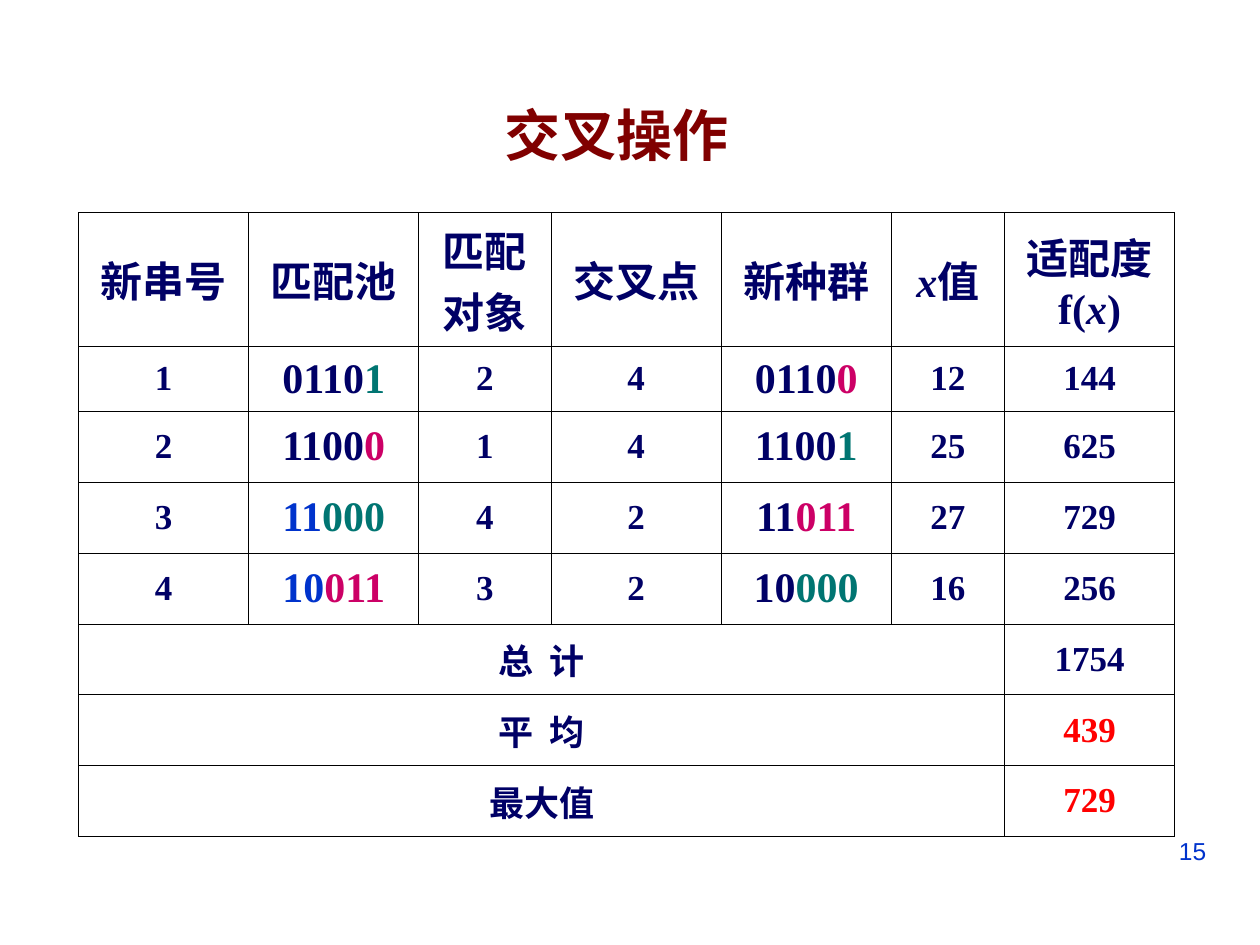
from lxml.etree import SubElement
from pptx import Presentation
from pptx.dml.color import RGBColor
from pptx.enum.text import MSO_ANCHOR as Anchor, PP_ALIGN as Align
from pptx.oxml.ns import qn
from pptx.util import Pt

NAVY, BLUE, TEAL, PINK = "000066", "0033CC", "007572", "CC0066"
RED, MAROON, BLACK = "FF0000", "800000", "000000"

COLUMN_WIDTHS = [97.2, 97.2, 75.6, 97.2, 97.2, 64.8, 97.2]
ROW_HEIGHTS = [76.5, 37.2] + [40.5] * 6
HEADERS = ["新串号", "匹配池", "匹配\n对象", "交叉点", "新种群", "x值", "适配度\nf(x)"]

# Number, pool string, partner, crossover point, new string, x, fitness,
# then the colours of the pool head, pool tail and new tail.
CROSSOVERS = [
    ("1", "01101", "2", 4, "01100", "12", "144", NAVY, TEAL, PINK),
    ("2", "11000", "1", 4, "11001", "25", "625", NAVY, PINK, TEAL),
    ("3", "11000", "4", 2, "11011", "27", "729", BLUE, TEAL, PINK),
    ("4", "10011", "3", 2, "10000", "16", "256", BLUE, PINK, TEAL),
]
SUMMARY = [("总  计", "1754", NAVY), ("平  均", "439", RED), ("最大值", "729", RED)]


def rgb(value):
    return RGBColor.from_string(value)


class SlideBuilder:
    latin = "Times New Roman"
    sans = "Arial"
    border_width = 0.45

    def __init__(self, slide):
        self.slide = slide

    def style(self, run, size, color, font, bold=True):
        run.font.size = Pt(size)
        run.font.name = font
        run.font.bold = bold
        run.font.color.rgb = rgb(color)

    def text(self, box, content, size, color, align, bold=False):
        frame = self.slide.shapes.add_textbox(*map(Pt, box)).text_frame
        frame.word_wrap = True
        frame.text = content
        paragraph = frame.paragraphs[0]
        paragraph.alignment = align
        self.style(paragraph.runs[0], size, color, self.sans, bold)

    def table(self, left, top, widths, heights):
        shape = self.slide.shapes.add_table(
            len(heights), len(widths), Pt(left), Pt(top),
            Pt(sum(widths)), Pt(sum(heights)))
        table = shape.table
        table.first_row = table.horz_banding = False
        for column, width in zip(table.columns, widths):
            column.width = Pt(width)
        for row, height in zip(table.rows, heights):
            row.height = Pt(height)
            for cell in row.cells:
                self.borders(cell)
                cell.fill.background()
        return table

    def borders(self, cell):
        properties = cell._tc.get_or_add_tcPr()
        for side in ("a:lnL", "a:lnR", "a:lnT", "a:lnB"):
            line = SubElement(properties, qn(side), w=str(Pt(self.border_width)))
            fill = SubElement(line, qn("a:solidFill"))
            SubElement(fill, qn("a:srgbClr"), val=BLACK)

    def cell(self, cell, lines, size=20):
        """Fill a cell with lines, each a list of (text, colour) runs; x is italic."""
        cell.vertical_anchor = Anchor.MIDDLE
        frame = cell.text_frame
        for index, parts in enumerate(lines):
            paragraph = frame.add_paragraph() if index else frame.paragraphs[0]
            paragraph.alignment = Align.CENTER
            for content, color in parts:
                run = paragraph.add_run()
                run.text = content
                self.style(run, size, color, self.latin)
                run.font.italic = content == "x"


def header_lines(header):
    """Split a header into lines, with each x as a run of its own."""
    return [[(part, NAVY) for part in line.replace("x", "|x|").split("|") if part]
            for line in header.split("\n")]


def main():
    presentation = Presentation()
    presentation.slide_width, presentation.slide_height = Pt(720), Pt(540)
    slide = presentation.slides.add_slide(presentation.slide_layouts[6])
    builder = SlideBuilder(slide)

    builder.text((516.4, 474, 180, 37.5), "15", 14, BLUE, Align.RIGHT)
    table = builder.table(44.9, 121.4, COLUMN_WIDTHS, ROW_HEIGHTS)

    for column, header in enumerate(HEADERS):
        builder.cell(table.cell(0, column), header_lines(header), 24)

    for row, record in enumerate(CROSSOVERS, start=1):
        values, (pool_head, pool_tail, new_tail) = record[:7], record[7:]
        point = values[3]
        string_colors = {1: (pool_head, pool_tail), 4: (NAVY, new_tail)}
        for column, value in enumerate(values):
            cell = table.cell(row, column)
            if column in string_colors:
                parts = zip((value[:point], value[point:]), string_colors[column])
                builder.cell(cell, [parts], 24)
            else:
                builder.cell(cell, [[(str(value), NAVY)]])

    last = len(COLUMN_WIDTHS) - 1
    for row, (label, value, color) in enumerate(SUMMARY, start=len(CROSSOVERS) + 1):
        table.cell(row, 0).merge(table.cell(row, last - 1))
        builder.cell(table.cell(row, 0), [[(label, NAVY)]])
        builder.cell(table.cell(row, last), [[(value, color)]])

    builder.text((246, 54, 220, 46), "交叉操作 ", 32, MAROON, Align.CENTER, bold=True)
    presentation.save("out.pptx")


if __name__ == "__main__":
    main()
